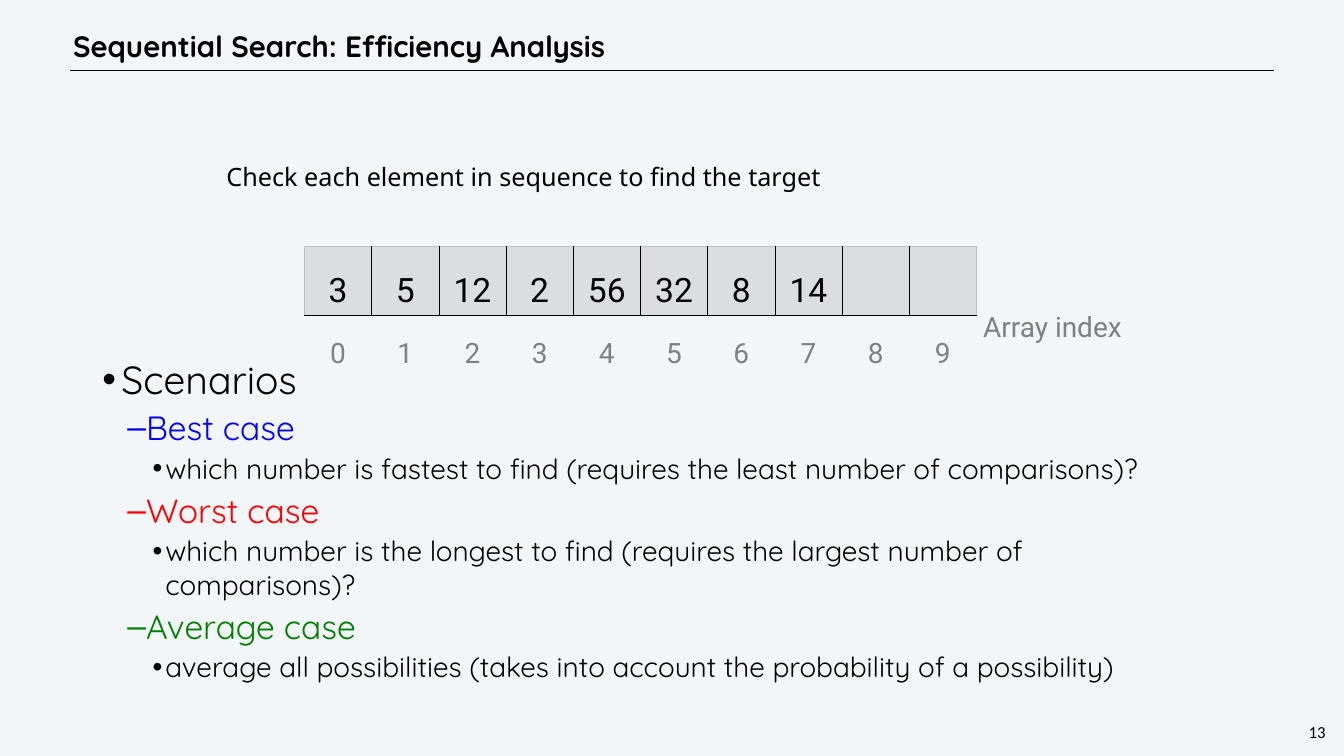
from pptx import Presentation, util as u
from pptx.dml.color import RGBColor
from pptx.enum import shapes, text
from pptx.oxml.xmlchemy import OxmlElement

COLORS = {
    "bg": "F3F6F9", "ink": "000000", "cell": "DCDDE0", "muted": "808080",
    "edge": "BFBFBF", "best": "0000FF", "worst": "FF0000", "average": "008000",
}
COLS, ROWS = 80, 45
LEVELS = [("•", 0.38, 0.38, 56), ("–", 0.81, 0.31, 48), ("•", 1.25, 0.25, 40)]
SCENARIOS = [
    (0, "Scenarios", "ink"),
    (1, "Best case", "best"),
    (2, "which number is fastest to find (requires the least number of comparisons)?", "ink"),
    (1, "Worst case", "worst"),
    (2, "which number is the longest to find (requires the largest number of comparisons)?", "ink"),
    (1, "Average case", "average"),
    (2, "average all possibilities (takes into account the probability of a possibility)", "ink"),
]
VALUES = ["3", "5", "12", "2", "56", "32", "8", "14", "", ""]


def rgb(name):
    return RGBColor.from_string(COLORS[name])


def child(parent, tag, **attrs):
    el = OxmlElement(tag)
    for key, value in attrs.items():
        el.set(key, str(value))
    parent.append(el)
    return el


def write(p, words, size=40, font="Quicksand", color="ink", bold=False,
          align=text.PP_ALIGN.LEFT, spacing=None, before=0):
    p.alignment = align
    p.space_before = u.Pt(before)
    if spacing:
        p.line_spacing = spacing
    r = p.add_run()
    r.text = words
    r.font.size, r.font.name, r.font.bold = u.Pt(size), font, bold
    r.font.color.rgb = rgb(color)


def indent(p, left, first, bullet=None):
    pPr = p._p.get_or_add_pPr()
    pPr.set("marL", str(u.Inches(left)))
    pPr.set("indent", str(u.Inches(first)))
    if bullet:
        child(pPr, "a:buFont", typeface="Arial")
        child(pPr, "a:buChar", char=bullet)


def border(cell, side, color=None):
    ln = child(cell._tc.get_or_add_tcPr(), f"a:ln{side}", w=u.Pt(1))
    if color:
        child(child(ln, "a:solidFill"), "a:srgbClr", val=COLORS[color])
    else:
        child(ln, "a:noFill")


class Deck:
    def __init__(self):
        self.prs = Presentation()
        self.prs.slide_width, self.prs.slide_height = u.Inches(26.67), u.Inches(15)
        self.s = self.prs.slides.add_slide(self.prs.slide_layouts[5])
        self.s.background.fill.solid()
        self.s.background.fill.fore_color.rgb = rgb("bg")

    def grid(self, col, row):
        return (round(self.prs.slide_width * col / COLS),
                round(self.prs.slide_height * row / ROWS))

    def frame(self, sp, inset, anchor=text.MSO_ANCHOR.TOP, wrap=True):
        tf = sp.text_frame
        tf.auto_size = text.MSO_AUTO_SIZE.NONE
        tf.word_wrap, tf.vertical_anchor = wrap, anchor
        tf.margin_left = tf.margin_right = u.Inches(inset[0])
        tf.margin_top = tf.margin_bottom = u.Inches(inset[1])
        return tf

    def title(self, words, at, span, **style):
        sp = self.s.shapes.title
        sp.left, sp.top = self.grid(*at)
        sp.width, sp.height = self.grid(*span)
        tf = self.frame(sp, (0.06, 0.06), text.MSO_ANCHOR.MIDDLE)
        write(tf.paragraphs[0], words, **style)

    def box(self, at, span, inset, wrap=True):
        sp = self.s.shapes.add_textbox(*self.grid(*at), *self.grid(*span))
        return self.frame(sp, inset, wrap=wrap)

    def label(self, words, at, span, inset=(0.1, 0.05), wrap=True, first=0, **style):
        p = self.box(at, span, inset, wrap).paragraphs[0]
        indent(p, 0, first)
        write(p, words, **style)

    def rule(self, start, end):
        line = self.s.shapes.add_connector(
            shapes.MSO_CONNECTOR.STRAIGHT, *self.grid(*start), *self.grid(*end))
        line.line.color.rgb = rgb("ink")
        line.line.width = u.Pt(1)
        child(line._element.spPr, "a:effectLst")

    def outline(self, items, at, span):
        tf = self.box(at, span, (0.2, 0.1))
        for i, (level, words, color) in enumerate(items):
            p = tf.add_paragraph() if i else tf.paragraphs[0]
            bullet, left, hang, points = LEVELS[level]
            p.level = level
            p.space_before = u.Pt(0)
            indent(p, left, -hang, bullet)
            write(p, words, size=points, color=color,
                  before=round(0.14 * points, 1) if i else 0)

    def array(self, values, at, cell_span):
        n = len(values)
        width, height = self.grid(*cell_span)
        table = self.s.shapes.add_table(2, n, *self.grid(*at), width * n, height * 2).table
        table.first_row = table.horz_banding = False
        for row in table.rows:
            row.height = height
        for i, value in enumerate(values):
            table.columns[i].width = width
            top, index = table.cell(0, i), table.cell(1, i)
            for cell, words, size, color in ((top, value, 48, "ink"), (index, str(i), 40, "muted")):
                cell.margin_left = cell.margin_right = u.Inches(0.2)
                cell.margin_top = cell.margin_bottom = u.Inches(0.1)
                if words:
                    write(cell.text_frame.paragraphs[0], words, size=size, font="Roboto",
                          color=color, align=text.PP_ALIGN.CENTER, spacing=1.5)
            border(top, "L", "ink" if i else "edge")
            border(top, "R", "ink" if i < n - 1 else "edge")
            border(top, "T", "edge")
            border(top, "B", "ink")
            for side in "LRTB":
                border(index, side, "ink" if side == "T" else None)
            top.fill.solid()
            top.fill.fore_color.rgb = rgb("cell")
            index.fill.background()


def main():
    deck = Deck()
    deck.rule((4.17, 4.2), (75.84, 4.2))
    deck.title("Sequential Search: Efficiency Analysis", (4.17, 1.26), (67.86, 2.97),
               size=42, bold=True, spacing=u.Pt(50))
    deck.label("Check each element in sequence to find the target", (13, 9.45), (54, 6.39),
               inset=(0.06, 0.06), first=0.1, size=36, font="Noto Sans", spacing=u.Pt(43))
    deck.array(VALUES, (18.12, 14.67), (4, 3.78))
    deck.label("Array index", (58.23, 18.3), (9.54, 2.31), font="Roboto", color="muted")
    deck.outline(SCENARIOS, (5.49, 20.85), (65.76, 21.42))
    deck.label("13", (78.03, 42.87), (0.75, 1.44), inset=(0.04, 0.04), wrap=False,
               size=24, font="Calibri", align=text.PP_ALIGN.CENTER, spacing=u.Pt(28))
    deck.prs.save("out.pptx")


if __name__ == "__main__":
    main()
